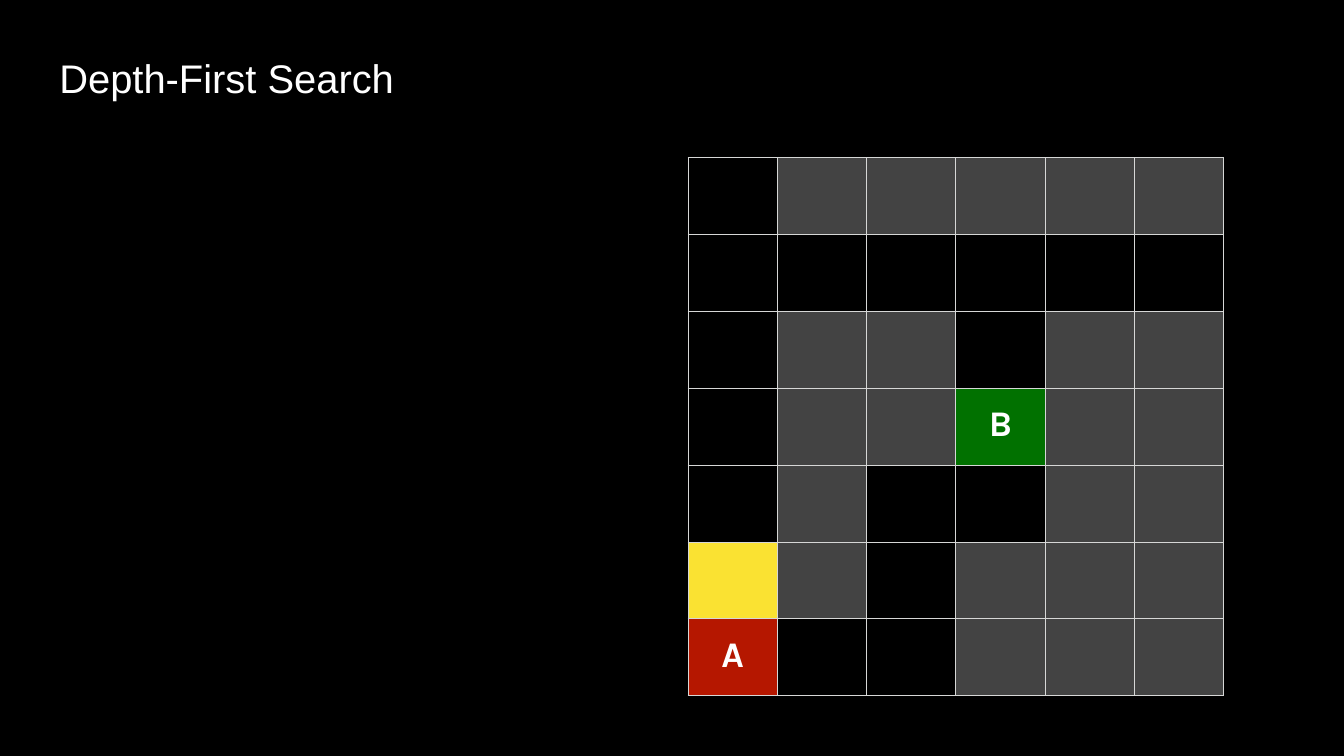
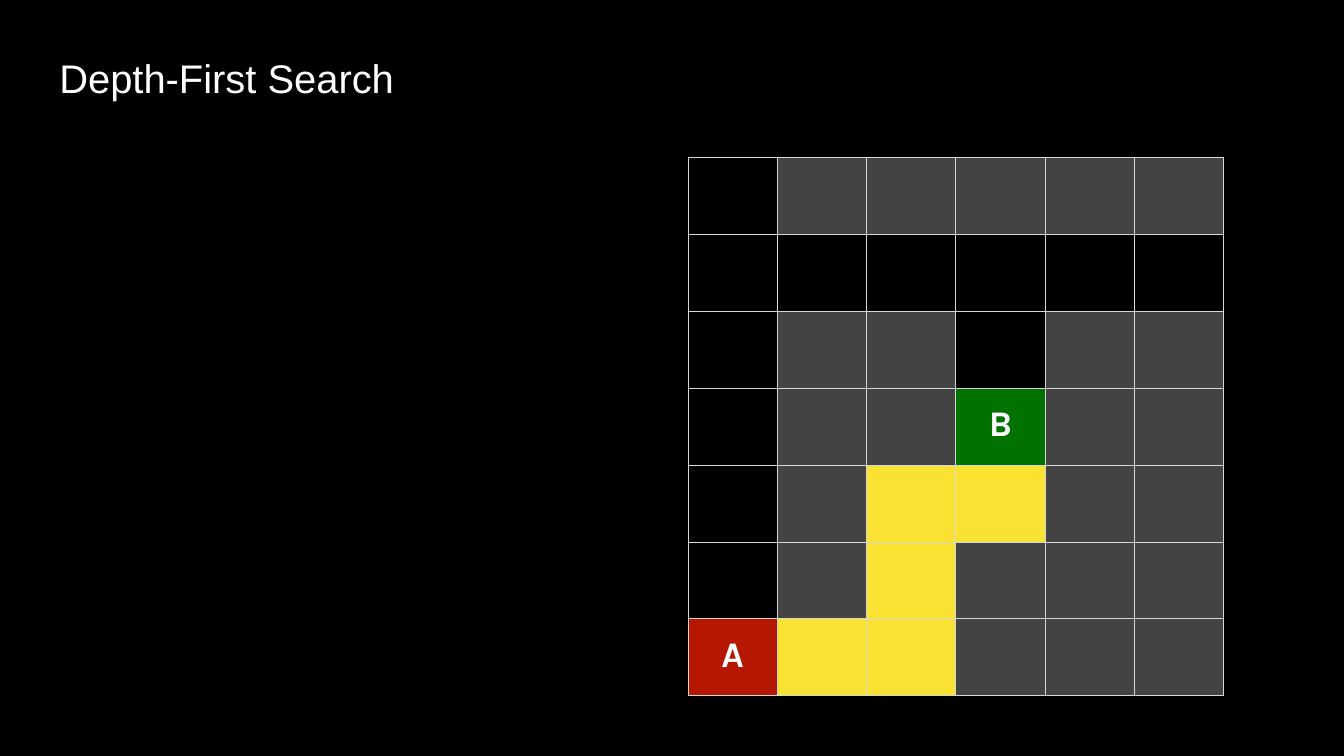
"""Build two slides that show depth-first search exploring a maze."""
from pptx import Presentation
from pptx.dml.color import RGBColor
from pptx.enum import text
from pptx.oxml import parse_xml
from pptx.oxml.ns import nsdecls
from pptx.util import Pt

PX = 4572
SLIDE_W, SLIDE_H = 4398, 2474
TITLE_BOX = (136, 86, 2586, 356)
MAZE_BOX = (2251, 516, 1754, 1761)

BLACK = RGBColor(0x00, 0x00, 0x00)
WHITE = RGBColor(0xFF, 0xFF, 0xFF)
WALL = RGBColor(0x43, 0x43, 0x43)
START = RGBColor(0xB5, 0x17, 0x00)
GOAL = RGBColor(0x01, 0x71, 0x00)
EXPLORED = RGBColor(0xFA, 0xE2, 0x32)
GRID = RGBColor(0xD6, 0xD7, 0xD6)

TITLE = "Depth-First Search"
TITLE_FONT = {"name": "Arial", "size": Pt(47), "bold": False}
MARK_FONT = {"name": "Karla", "size": Pt(42.5), "bold": True}
FILLS = {"#": WALL, "A": START, "B": GOAL}
MAZE = [
    ".#####",
    "......",
    ".##.##",
    ".##B##",
    ".#..##",
    ".#.###",
    "A..###",
]
STEPS = [
    {(5, 0)},
    {(6, 1), (6, 2), (5, 2), (4, 2), (4, 3)},
]


def px(*lengths):
    return [n * PX for n in lengths]


def set_attrs(obj, values):
    for name, value in values.items():
        setattr(obj, name, value)


def write(tf, words, font, align):
    p = tf.paragraphs[0]
    p.alignment = align
    r = p.add_run()
    r.text = words
    set_attrs(r.font, font)
    r.font.color.rgb = WHITE


def add_backdrop(s, master):
    outline = s.shapes.build_freeform(SLIDE_W, 0, scale=PX)
    outline.add_line_segments([(0, 0), (0, SLIDE_H), (SLIDE_W, SLIDE_H)])
    sp = outline.convert_to_shape()
    sp.shadow.inherit = False
    sp.fill.solid()
    sp.fill.fore_color.rgb = BLACK
    sp.line.fill.background()
    master.shapes._spTree.insert(2, sp._element)


def add_title(s):
    sp = s.shapes.title
    sp.left, sp.top, sp.width, sp.height = px(*TITLE_BOX)
    tf = sp.text_frame
    set_attrs(tf, {
        "margin_left": 58 * PX, "margin_top": 88 * PX,
        "margin_right": 0, "margin_bottom": 0, "word_wrap": True,
        "vertical_anchor": text.MSO_ANCHOR.TOP,
        "auto_size": text.MSO_AUTO_SIZE.SHAPE_TO_FIT_TEXT,
    })
    write(tf, TITLE, TITLE_FONT, text.PP_ALIGN.LEFT)


def add_borders(cell):
    tc_pr = cell._tc.get_or_add_tcPr()
    for side in "LRTB":
        tc_pr.append(parse_xml(
            f'<a:ln{side} {nsdecls("a")} w="{Pt(1)}"><a:solidFill>'
            f'<a:srgbClr val="{GRID}"/></a:solidFill></a:ln{side}>'))


def format_cell(cell, mark, explored):
    set_attrs(cell, {"margin_left": 0, "margin_right": 0,
                     "margin_top": 50 * PX, "margin_bottom": 0})
    add_borders(cell)
    color = EXPLORED if explored else FILLS.get(mark)
    if color is None:
        cell.fill.background()
    else:
        cell.fill.solid()
        cell.fill.fore_color.rgb = color
    if mark in "AB":
        write(cell.text_frame, mark, MARK_FONT, text.PP_ALIGN.CENTER)


def add_maze(s, explored):
    rows, cols = len(MAZE), len(MAZE[0])
    table = s.shapes.add_table(rows, cols, *px(*MAZE_BOX)).table
    set_attrs(table, {"first_row": False, "horz_banding": False})
    for row, marks in enumerate(MAZE):
        for col, mark in enumerate(marks):
            format_cell(table.cell(row, col), mark, (row, col) in explored)


def main():
    prs = Presentation()
    prs.slide_width, prs.slide_height = px(SLIDE_W, SLIDE_H)
    for explored in STEPS:
        s = prs.slides.add_slide(prs.slide_layouts[5])
        add_maze(s, explored)
        add_title(s)
    add_backdrop(s, prs.slide_master)
    prs.save("out.pptx")


if __name__ == "__main__":
    main()
